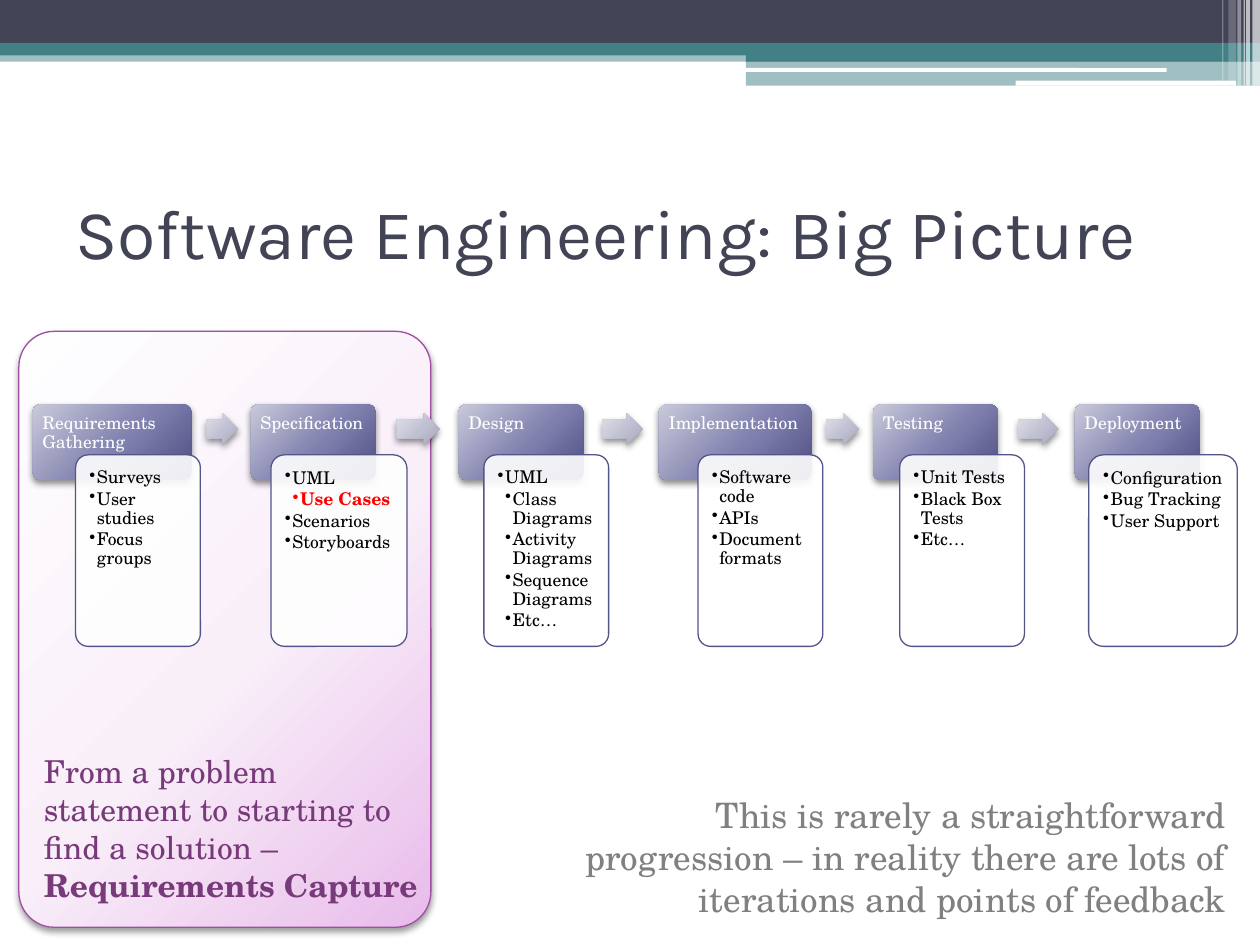
"""Build the software engineering process slide on a grid of 100 columns and 75 rows."""
from typing import NamedTuple

import pptx
import pptx.dml.color
import pptx.enum.shapes
import pptx.enum.text
import pptx.oxml
import pptx.oxml.ns
import pptx.util

SHAPE = pptx.enum.shapes.MSO_SHAPE
ANCHOR = pptx.enum.text.MSO_ANCHOR
ALIGN = pptx.enum.text.PP_ALIGN
qn = pptx.oxml.ns.qn
NS = pptx.oxml.ns.nsdecls("a")

prs = pptx.Presentation()
prs.slide_width, prs.slide_height = pptx.util.Inches(10), pptx.util.Inches(7.5)
COL, ROW = prs.slide_width / 100, prs.slide_height / 75

BODY, HEADING = "TeX Gyre Schola", "Karla"
WHITE, BLACK, RED, GRAY = "FFFFFF", "000000", "FF0000", "808080"
NAVY, TEAL, INDIGO, PURPLE, PLUM = "424456", "438086", "53548A", "A04DA3", "783A7A"
PANEL_FADE = ("FEFEFF", "F9EFF9", "E8BBEA")
STAGE_FADE = ("C9C9DA", "7F80AE", "4D4E81")
ARROW_FADE = ("E1E1EA", "C0C0D3", "A7A7B7")


class Box(NamedTuple):
    """A place on the grid, in columns and rows."""
    x: float
    y: float
    w: float
    h: float


class Bar(NamedTuple):
    """One strip of the banner."""
    box: Box
    color: str
    opacity: int = 100
    kind: int = SHAPE.RECTANGLE


class Item(NamedTuple):
    """One bullet of a card."""
    text: str
    level: int = 1
    color: str = BLACK
    bold: bool = False


class Stage(NamedTuple):
    """A process stage: heading, card and the arrow after it, in columns."""
    name: str
    x: float
    card_x: float
    items: list[Item]
    w: float = 9.9
    card_w: float = 9.9
    arrow_x: float = 0
    arrow_w: float = 0


BARS = [
    Bar(Box(0, 4, 100, 0.9), TEAL, 50),
    Bar(Box(0, 0, 100, 3.4), NAVY),
    Bar(Box(0, 3.4, 100, 1), TEAL),
    Bar(Box(59.2, 3.9, 40.8, 1), TEAL),
    Bar(Box(59.2, 4.8, 40.8, 2), TEAL, 50),
    Bar(Box(59.1, 5.4, 33.5, 0.3), WHITE, kind=SHAPE.ROUNDED_RECTANGLE),
    Bar(Box(80.6, 6.4, 17.5, 0.4), WHITE, kind=SHAPE.ROUNDED_RECTANGLE),
    *(Bar(Box(x, 0, w, h), WHITE, opacity) for x, w, h, opacity in [
        (99.4, 0.6, 6.8, 65), (98.9, 0.3, 6.8, 65), (98.7, 0.1, 6.8, 60),
        (98.2, 0.3, 6.8, 40), (97.5, 0.6, 6.4, 20), (97, 0.1, 6.4, 30)]),
]

STAGES = [
    Stage("Requirements Gathering", 2.6, 6,
          [Item("Surveys"), Item("User studies"), Item("Focus groups")],
          w=12.6, arrow_x=16.4, arrow_w=2.5),
    Stage("Specification", 19.9, 21.5,
          [Item("UML"), Item("Use Cases", 2, RED, True), Item("Scenarios"), Item("Storyboards")],
          card_w=10.8, arrow_x=31.5, arrow_w=3.4),
    Stage("Design", 36.4, 38.4,
          [Item("UML"), Item("Class Diagrams", 2), Item("Activity Diagrams", 2),
           Item("Sequence Diagrams", 2), Item("Etc…", 2)],
          arrow_x=47.8, arrow_w=3.2),
    Stage("Implementation", 52.3, 55.4,
          [Item("Software code"), Item("APIs"), Item("Document formats")],
          w=12.1, arrow_x=65.6, arrow_w=2.6),
    Stage("Testing", 69.3, 71.4,
          [Item("Unit Tests"), Item("Black Box Tests"), Item("Etc…")],
          arrow_x=80.8, arrow_w=3.2),
    Stage("Deployment", 85.3, 86.4,
          [Item("Configuration"), Item("Bug Tracking"), Item("User Support")], card_w=11.8),
]


def rgb(color: str) -> pptx.dml.color.RGBColor:
    """Turn a hex string into a colour."""
    return pptx.dml.color.RGBColor.from_string(color)


def place(box: Box) -> list[int]:
    """Turn a grid box into slide lengths."""
    return [round(n) for n in (box.x * COL, box.y * ROW, box.w * COL, box.h * ROW)]


def fade(s, colors: tuple[str, ...]) -> None:
    """Replace the solid fill with a radial gradient from beyond the top left."""
    stops = "".join(f'<a:gs pos="{pos}"><a:srgbClr val="{c}"/></a:gs>'
                    for pos, c in zip((0, 55000, 100000), colors))
    solid = s.element.spPr.find(qn("a:solidFill"))
    s.element.spPr.replace(solid, pptx.oxml.parse_xml(
        f'<a:gradFill {NS} rotWithShape="1"><a:gsLst>{stops}</a:gsLst><a:path path="circle">'
        '<a:fillToRect l="-40000" t="-90000" r="140000" b="190000"/></a:path></a:gradFill>'))


def add_shape(shapes, kind: int, box: Box, color: str = WHITE, opacity: int = 100,
              colors: tuple[str, ...] = (), line: str = "", shadow: int = 0,
              adj: tuple[float, ...] = ()):
    """Draw a preset shape with its fill, outline and shadow."""
    s = shapes.add_shape(kind, *place(box))
    for i, value in enumerate(adj):
        s.adjustments[i] = value
    s.shadow.inherit = False
    s.fill.solid()
    s.fill.fore_color.rgb = rgb(color)
    if opacity < 100:
        clr = s.element.spPr.find(qn("a:solidFill")).find(qn("a:srgbClr"))
        clr.append(pptx.oxml.parse_xml(f'<a:alpha {NS} val="{opacity * 1000}"/>'))
    if colors:
        fade(s, colors)
    if line:
        s.line.color.rgb = rgb(line)
        s.line.width = pptx.util.Pt(0.75)
    else:
        s.line.fill.background()
    if shadow:
        s.element.spPr.find(qn("a:effectLst")).append(pptx.oxml.parse_xml(
            f'<a:outerShdw {NS} blurRad="50800" dist="25400" dir="5400000" rotWithShape="0">'
            f'<a:srgbClr val="{BLACK}"><a:alpha val="{shadow * 1000}"/></a:srgbClr></a:outerShdw>'))
    return s


def set_frame(s, inset: float, anchor=ANCHOR.TOP):
    """Prepare a text frame with an equal inset in inches."""
    tf = s.text_frame
    tf.word_wrap = True
    tf.vertical_anchor = anchor
    tf.margin_left = tf.margin_right = tf.margin_top = tf.margin_bottom = pptx.util.Inches(inset)
    return tf


def add_text(p, text: str, size: float = 10, font: str = BODY, color: str = BLACK,
             bold: bool = False, align=ALIGN.LEFT, spacing: float = 1) -> None:
    """Add a formatted run to a paragraph."""
    p.alignment, p.line_spacing = align, spacing
    r = p.add_run()
    r.text = text
    r.font.size, r.font.name, r.font.bold = pptx.util.Pt(size), font, bold
    r.font.color.rgb = rgb(color)


def add_label(shapes, box: Box, runs: list[tuple[str, bool]], anchor=ANCHOR.TOP, **style) -> None:
    """Add a text box holding one paragraph of plain and bold runs."""
    tf = set_frame(shapes.add_textbox(*place(box)), 0.05, anchor)
    tf.margin_left = tf.margin_right = pptx.util.Inches(0.1)
    for text, bold in runs:
        add_text(tf.paragraphs[0], text, bold=bold, **style)


def add_bullets(tf, items: list[Item]) -> None:
    """Write the items as a bulleted list."""
    for i, item in enumerate(items):
        p = tf.add_paragraph() if i else tf.paragraphs[0]
        p.level = item.level
        p.space_after = pptx.util.Pt(1.5)
        step = pptx.util.Inches(0.06)
        pPr = p._p.get_or_add_pPr()
        pPr.set("marL", str(step * item.level))
        pPr.set("indent", str(-step))
        pPr.append(pptx.oxml.parse_xml(f'<a:buChar {NS} char="•"/>'))
        add_text(p, item.text, color=item.color, bold=item.bold, spacing=0.9)


def add_stage(shapes, stage: Stage) -> None:
    """Draw a stage heading, its card and the arrow to the next stage."""
    head = add_shape(shapes, SHAPE.ROUNDED_RECTANGLE, Box(stage.x, 32.1, stage.w, 6),
                     colors=STAGE_FADE, shadow=45, adj=(0.1,))
    add_text(set_frame(head, 0.06).paragraphs[0], stage.name, color=WHITE, spacing=0.9)
    card = add_shape(shapes, SHAPE.ROUNDED_RECTANGLE, Box(stage.card_x, 36.1, stage.card_w, 15.2),
                     opacity=90, line=INDIGO, adj=(0.1,))
    add_bullets(set_frame(card, 0.08), stage.items)
    if stage.arrow_w:
        add_shape(shapes, SHAPE.RIGHT_ARROW, Box(stage.arrow_x, 32.8, stage.arrow_w, 2.5),
                  colors=ARROW_FADE, shadow=45, adj=(0.6, 0.5))


def main() -> None:
    """Build and save the slide."""
    shapes = prs.slides.add_slide(prs.slide_layouts[6]).shapes
    for bar in BARS:
        add_shape(shapes, bar.kind, bar.box, bar.color, bar.opacity)
    add_shape(shapes, SHAPE.ROUNDED_RECTANGLE, Box(1.5, 26.3, 32.7, 47.3),
              colors=PANEL_FADE, line=PURPLE, shadow=40, adj=(0.086,))
    add_label(shapes, Box(5, 12.5, 90, 11.7), [("Software Engineering: Big Picture", False)],
              ANCHOR.MIDDLE, size=40, font=HEADING, color=NAVY)
    for stage in STAGES:
        add_stage(shapes, stage)
    add_label(shapes, Box(45, 62.5, 53.3, 11.1),
              [("This is rarely a straightforward progression – in reality there are lots of "
                "iterations and points of feedback", False)],
              size=20, color=GRAY, align=ALIGN.RIGHT)
    add_label(shapes, Box(2.5, 59.2, 31.7, 13.1),
              [("From a problem statement to starting to find a solution – ", False),
               ("Requirements Capture", True)], size=18, color=PLUM)
    prs.save("out.pptx")


if __name__ == "__main__":
    main()
